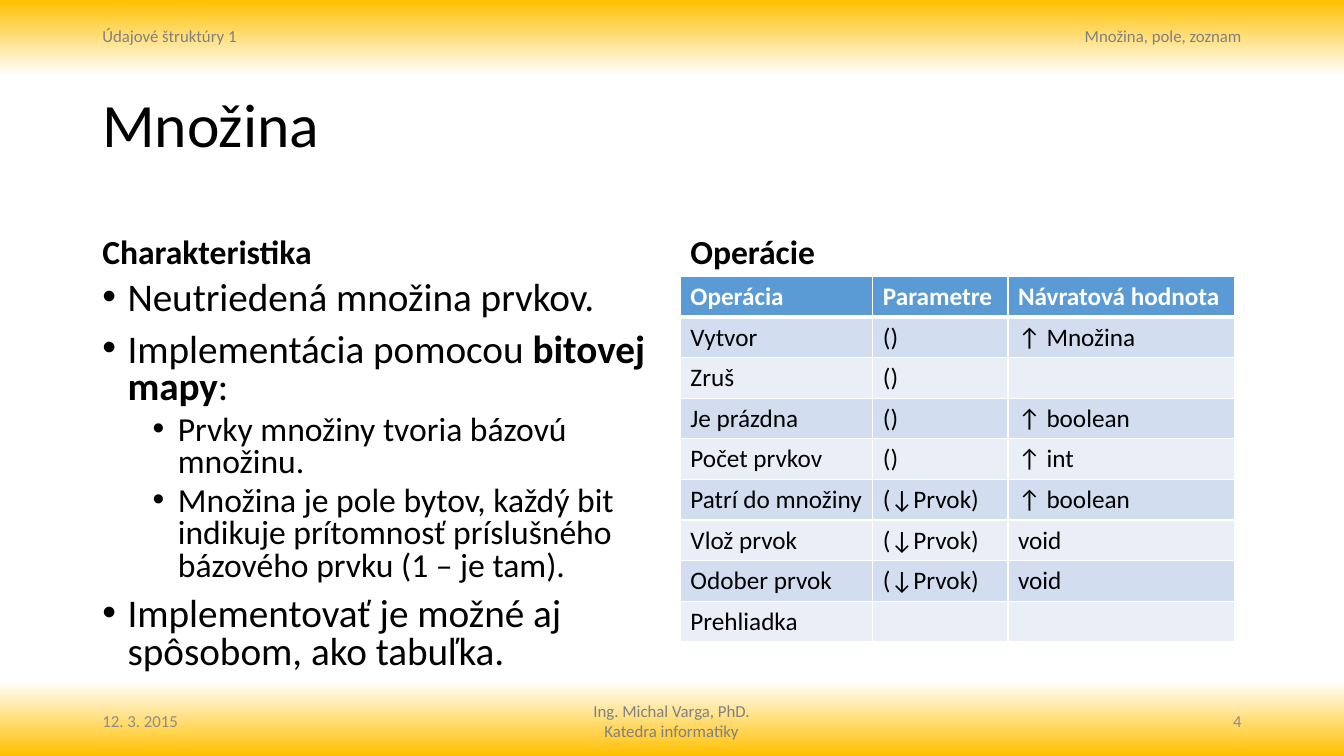
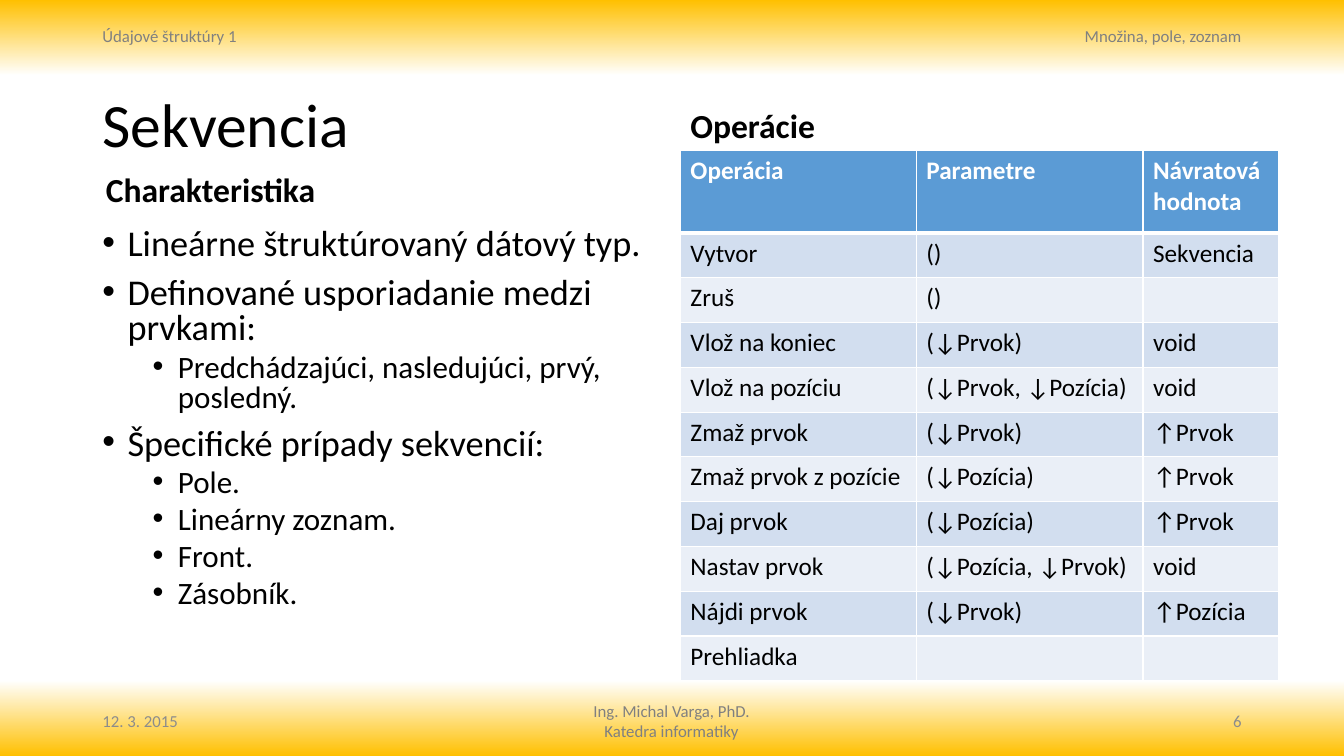
from dataclasses import dataclass

from pptx import Presentation
from pptx.dml.color import RGBColor
from pptx.enum.text import MSO_ANCHOR as Anchor, PP_ALIGN as Align
from pptx.oxml.ns import qn
from pptx.oxml.xmlchemy import OxmlElement as Element
from pptx.util import Emu, Pt


@dataclass(frozen=True)
class Theme:
    font: str = "Calibri"
    gold: str = "FFC000"
    white: str = "FFFFFF"
    ink: str = "000000"
    band_text: str = "808080"
    footer_text: str = "8C8C8C"
    table_head: str = "5B9BD5"
    table_rows: tuple = ("D2DEEF", "EAEFF7")
    title_size: int = 44
    heading_size: int = 24
    table_size: int = 18
    band_size: int = 12


THEME = Theme()
LEFT, RIGHT_COLUMN = 132, 972
BAND_LEFT, BAND_WIDTH = 1356, 432
COLUMN_WIDTH = 812
INDENT = 36
HEADERS = ("Operácia", "Parametre", "Návratová hodnota")

SET_POINTS = (
    (0, "Neutriedená množina prvkov."),
    (0, "Implementácia pomocou ", "bitovej mapy", ":"),
    (1, "Prvky množiny tvoria bázovú množinu."),
    (1, "Množina je pole bytov, každý bit indikuje prítomnosť príslušného bázového prvku (1 – je tam)."),
    (0, "Implementovať je možné aj spôsobom, ako tabuľka."),
)
SET_OPERATIONS = (
    HEADERS,
    ("Vytvor", "()", "↑ Množina"),
    ("Zruš", "()", ""),
    ("Je prázdna", "()", "↑ boolean"),
    ("Počet prvkov", "()", "↑ int"),
    ("Patrí do množiny", "(↓Prvok)", "↑ boolean"),
    ("Vlož prvok", "(↓Prvok)", "void"),
    ("Odober prvok", "(↓Prvok)", "void"),
    ("Prehliadka", "", ""),
)
SEQUENCE_POINTS = (
    (0, "Lineárne štruktúrovaný dátový typ."),
    (0, "Definované usporiadanie medzi prvkami:"),
    (1, "Predchádzajúci, nasledujúci, prvý, posledný."),
    (0, "Špecifické prípady sekvencií:"),
    (1, "Pole."),
    (1, "Lineárny zoznam."),
    (1, "Front."),
    (1, "Zásobník."),
)
SEQUENCE_OPERATIONS = (
    HEADERS,
    ("Vytvor", "()", "Sekvencia"),
    ("Zruš", "()", ""),
    ("Vlož na koniec", "(↓Prvok)", "void"),
    ("Vlož na pozíciu", "(↓Prvok, ↓Pozícia)", "void"),
    ("Zmaž prvok", "(↓Prvok)", "↑Prvok"),
    ("Zmaž prvok z pozície", "(↓Pozícia)", "↑Prvok"),
    ("Daj prvok", "(↓Pozícia)", "↑Prvok"),
    ("Nastav prvok", "(↓Pozícia, ↓Prvok)", "void"),
    ("Nájdi prvok", "(↓Prvok)", "↑Pozícia"),
    ("Prehliadka", "", ""),
)


def px(length):
    return Emu(length * 6350)


def add_child(parent, tag, **attributes):
    child = Element(tag)
    for key, value in attributes.items():
        child.set(key, str(value))
    parent.append(child)
    return child


def style_runs(paragraph, size, color, bold=False):
    for run in paragraph.runs:
        run.font.name = THEME.font
        run.font.size = Pt(size)
        run.font.bold = bold
        run.font.color.rgb = RGBColor.from_string(color)


def add_frame(slide, box, anchor=Anchor.TOP):
    frame = slide.shapes.add_textbox(*map(px, box)).text_frame
    frame.word_wrap = True
    frame.vertical_anchor = anchor
    return frame


def add_text(slide, box, text, size, color, bold=False, align=Align.LEFT,
             anchor=Anchor.TOP, spacing=1.0):
    frame = add_frame(slide, box, anchor)
    frame.text = text
    for paragraph in frame.paragraphs:
        paragraph.alignment = align
        paragraph.line_spacing = spacing
        style_runs(paragraph, size, color, bold)


def add_heading(slide, box, text, spacing):
    add_text(slide, box, text, THEME.heading_size, THEME.ink, bold=True,
             anchor=Anchor.BOTTOM, spacing=spacing)


def add_bullets(slide, box, points, sizes):
    frame = add_frame(slide, box)
    for index, (level, *segments) in enumerate(points):
        paragraph = frame.paragraphs[0] if index == 0 else frame.add_paragraph()
        paragraph.level = level
        properties = paragraph._p.get_or_add_pPr()
        properties.set("marL", str(px(INDENT * (1 + 2 * level))))
        properties.set("indent", str(px(-INDENT)))
        add_child(properties, "a:buFont", typeface="Arial")
        add_child(properties, "a:buChar", char="•")
        paragraph.line_spacing = 0.8
        if index:
            paragraph.space_before = Pt(5 if level else 10)
        for segment in segments:
            paragraph.add_run().text = segment
        style_runs(paragraph, sizes[level], THEME.ink)
        for emphasis in paragraph.runs[1::2]:
            emphasis.font.bold = True


def set_borders(cell, bottom_width):
    properties = cell._tc.get_or_add_tcPr()
    for side, width in (("L", 1), ("R", 1), ("T", 1), ("B", bottom_width)):
        line = add_child(properties, f"a:ln{side}", w=Pt(width))
        add_child(add_child(line, "a:solidFill"), "a:srgbClr", val=THEME.white)


def add_operations(slide, top, widths, head_height, row_height, rows):
    height = head_height + row_height * (len(rows) - 1)
    box = (RIGHT_COLUMN, top, sum(widths), height)
    table = slide.shapes.add_table(len(rows), len(widths), *map(px, box)).table
    table.horz_banding = False
    for column, width in zip(table.columns, widths):
        column.width = px(width)
    for index, values in enumerate(rows):
        is_head = index == 0
        table.rows[index].height = px(head_height if is_head else row_height)
        fill = THEME.table_head if is_head else THEME.table_rows[(index - 1) % 2]
        for cell, value in zip(table.rows[index].cells, values):
            cell.text = value
            style_runs(cell.text_frame.paragraphs[0], THEME.table_size,
                       THEME.white if is_head else THEME.ink, is_head)
            set_borders(cell, 3 if is_head else 1)
            cell.fill.solid()
            cell.fill.fore_color.rgb = RGBColor.from_string(fill)


def set_background(master):
    master.background.fill.gradient()
    gradient = next(master.element.iter(qn("a:gradFill")))
    stops = gradient.find(qn("a:gsLst"))
    for stop in list(stops):
        stops.remove(stop)
    for percent, color in ((0, THEME.gold), (10, THEME.white),
                           (90, THEME.white), (100, THEME.gold)):
        stop = add_child(stops, "a:gs", pos=percent * 1000)
        add_child(stop, "a:srgbClr", val=color)
    master.background.fill.gradient_angle = 270


def add_page(deck, title, number):
    slide = deck.slides.add_slide(deck.slide_layouts[6])
    size = THEME.band_size
    add_text(slide, (685, 994, 549, 72), "Ing. Michal Varga, PhD.\nKatedra informatiky",
             size, THEME.band_text, align=Align.CENTER)
    for left, align, header, footer in (
        (LEFT, Align.LEFT, "Údajové štruktúry 1", "12. 3. 2015"),
        (BAND_LEFT, Align.RIGHT, "Množina, pole, zoznam", str(number)),
    ):
        add_text(slide, (left, 29, BAND_WIDTH, 44), header, size,
                 THEME.band_text, align=align)
        add_text(slide, (left, 1001, BAND_WIDTH, 58), footer, size,
                 THEME.footer_text, align=align, anchor=Anchor.MIDDLE)
    add_text(slide, (LEFT, 99, 1656, 167), title, THEME.title_size, THEME.ink,
             anchor=Anchor.MIDDLE, spacing=0.9)
    return slide


def add_set_page(deck):
    slide = add_page(deck, "Množina", 4)
    add_heading(slide, (LEFT, 265, COLUMN_WIDTH, 130), "Charakteristika", 0.9)
    add_bullets(slide, (LEFT, 395, COLUMN_WIDTH, 580), SET_POINTS, (28, 24))
    add_heading(slide, (RIGHT_COLUMN, 265, COLUMN_WIDTH, 130), "Operácie", 0.9)
    add_operations(slide, 395, (275, 193, 324), 58, 58, SET_OPERATIONS)


def add_sequence_page(deck):
    slide = add_page(deck, "Sekvencia", 6)
    add_heading(slide, (137, 242, COLUMN_WIDTH, 63), "Charakteristika", 0.8)
    add_bullets(slide, (LEFT, 320, COLUMN_WIDTH, 572), SEQUENCE_POINTS, (25.9, 22.2))
    add_heading(slide, (RIGHT_COLUMN, 151, COLUMN_WIDTH, 63), "Operácie", 0.8)
    add_operations(slide, 215, (337, 324, 193), 118, 64, SEQUENCE_OPERATIONS)


def main():
    deck = Presentation()
    deck.slide_width, deck.slide_height = px(1920), px(1080)
    set_background(deck.slide_master)
    add_set_page(deck)
    add_sequence_page(deck)
    deck.save("out.pptx")


if __name__ == "__main__":
    main()
